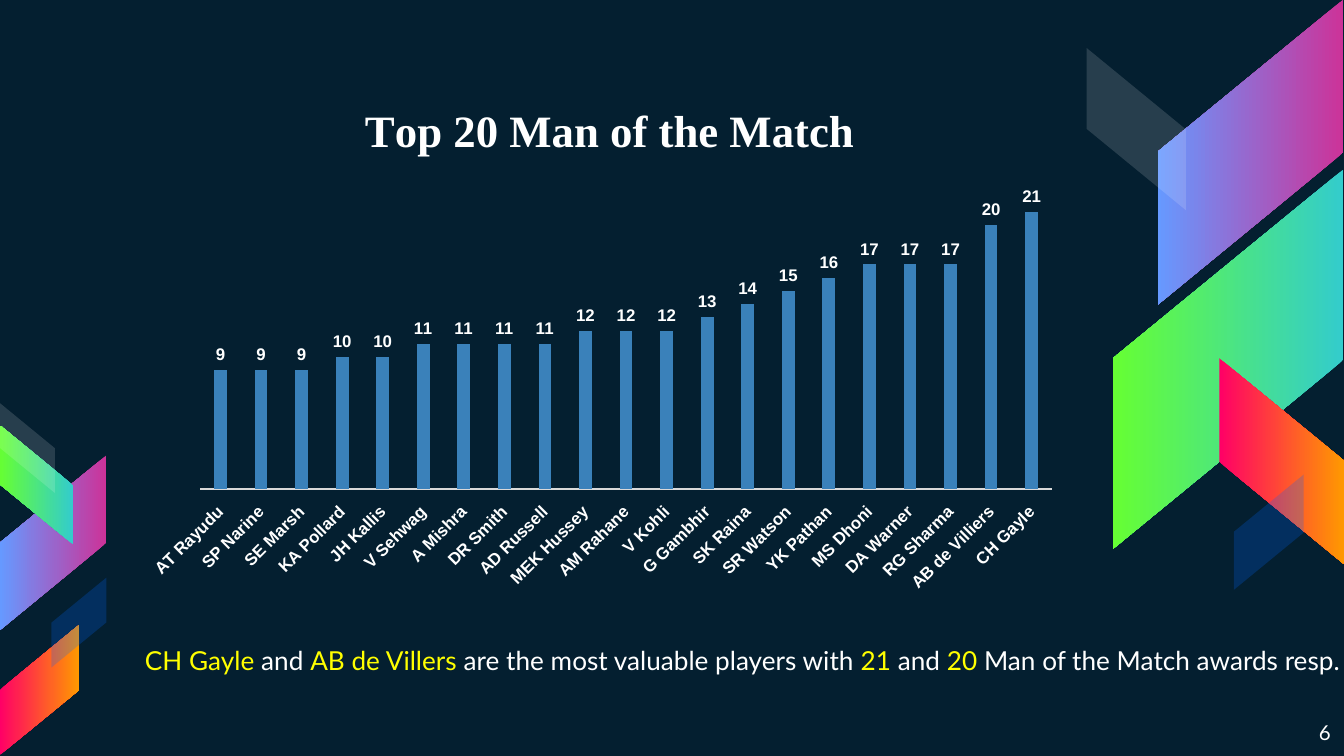
from dataclasses import dataclass

from lxml.etree import SubElement
from pptx import Presentation
from pptx.chart.data import CategoryChartData
from pptx.dml.color import RGBColor
from pptx.enum.chart import XL_CHART_TYPE, XL_LABEL_POSITION, XL_TICK_LABEL_POSITION, XL_TICK_MARK
from pptx.enum.shapes import MSO_SHAPE
from pptx.enum.text import MSO_ANCHOR, MSO_AUTO_SIZE, PP_ALIGN
from pptx.oxml import parse_xml
from pptx.oxml.ns import nsdecls, qn
from pptx.util import Cm, Pt


@dataclass(frozen=True)
class Theme:
    """Colours, fonts and type sizes of the slide."""
    background: str = "041F30"
    text: str = "FFFFFF"
    highlight: str = "FFFF00"
    bar: str = "3A81BA"
    axis: str = "D9D9D9"
    violet: tuple = ("CC3399", "6699FF")
    green: tuple = ("33CCCC", "66FF33")
    fire: tuple = ("FF0066", "FF9900")
    mist: tuple = ("FFFFFF", 14)
    navy: tuple = ("0066FF", 23)
    body_font: str = "Lato"
    chart_font: str = "Arial"
    heading_font: str = "Times New Roman"
    heading_size: int = 24
    body_size: int = 14
    number_size: int = 11
    label_size: int = 9


THEME = Theme()

# left, top, width, height (cm), rotation, mirrored, fill
RIBBONS = [
    (20.75, 1.12, 5.77, 3.51, 90, True, THEME.violet),
    (19.63, 4.62, 7.16, 4.34, 90, True, THEME.green),
    (22.28, 7.54, 3.89, 2.36, 270, False, THEME.fire),
    (19.94, 1.5, 3.07, 1.88, 270, False, THEME.mist),
    (22.89, 9.4, 2.18, 1.32, 270, True, THEME.navy),
    (-0.64, 9.25, 3.3, 2.01, 90, True, THEME.violet),
    (-0.43, 8.48, 2.24, 1.37, 90, False, THEME.green),
    (-0.48, 12.29, 2.46, 1.5, 270, True, THEME.fire),
    (-0.33, 7.95, 1.7, 1.04, 270, False, THEME.mist),
    (0.64, 11.25, 1.7, 1.04, 270, True, THEME.navy),
]

AWARDS = {
    "AT Rayudu": 9, "SP Narine": 9, "SE Marsh": 9, "KA Pollard": 10,
    "JH Kallis": 10, "V Sehwag": 11, "A Mishra": 11, "DR Smith": 11,
    "AD Russell": 11, "MEK Hussey": 12, "AM Rahane": 12, "V Kohli": 12,
    "G Gambhir": 13, "SK Raina": 14, "SR Watson": 15, "YK Pathan": 16,
    "MS Dhoni": 17, "DA Warner": 17, "RG Sharma": 17, "AB de Villiers": 20,
    "CH Gayle": 21,
}

# Every other piece is highlighted, starting with the first
TAKEAWAY = ["CH Gayle", " and ", "AB de Villers",
            " are the most valuable players with ", "21", " and ", "20",
            " Man of the Match awards resp."]


def rgb(value):
    """Return a colour from its hex value."""
    return RGBColor.from_string(value)


def style_font(font, name, size, color=THEME.text, bold=False):
    """Set face, size, colour and weight of a font."""
    font.name, font.size, font.bold = name, Pt(size), bold
    font.color.rgb = rgb(color)


def set_frame(tf, anchor):
    """Give a text frame its margins, wrapping and anchor."""
    tf.auto_size = MSO_AUTO_SIZE.NONE
    tf.word_wrap = True
    tf.vertical_anchor = anchor
    tf.margin_left = tf.margin_right = tf.margin_top = tf.margin_bottom = Cm(0.25)


def add_ribbon(slide, left, top, width, height, rotation, mirrored, fill):
    """Add a slanted ribbon with a gradient or a see-through fill."""
    sp = slide.shapes.add_shape(MSO_SHAPE.PARALLELOGRAM,
                                Cm(left), Cm(top), Cm(width), Cm(height))
    sp.adjustments[0] = 0.82
    sp.rotation = rotation
    sp.shadow.inherit = False
    sp.line.fill.background()
    if mirrored:
        sp._element.spPr.find(qn("a:xfrm")).set("flipH", "1")
    color, second = fill
    if isinstance(second, str):
        sp.fill.gradient()
        sp.fill.gradient_angle = 270
        for stop, value in zip(sp.fill.gradient_stops, fill):
            stop.color.rgb = rgb(value)
    else:
        sp.fill.solid()
        sp.fill.fore_color.rgb = rgb(color)
        clr = sp._element.spPr.find(qn("a:solidFill"))[0]
        SubElement(clr, qn("a:alpha")).set("val", str(second * 1000))


def set_layout(element, **parts):
    """Place a chart part by fractions of the chart area."""
    for old in element.findall(qn("c:layout")):
        element.remove(old)
    values = "".join(f'<c:{k} val="{v}"/>' for k, v in parts.items())
    layout = parse_xml(f'<c:layout {nsdecls("c")}><c:manualLayout>{values}'
                       '</c:manualLayout></c:layout>')
    text = element.find(qn("c:tx"))
    if text is None:
        element.insert(0, layout)
    else:
        text.addnext(layout)


def add_awards_chart(slide):
    """Add the column chart of awards per player."""
    data = CategoryChartData()
    data.categories = list(AWARDS)
    data.add_series("Series 1", list(AWARDS.values()))
    chart = slide.shapes.add_chart(XL_CHART_TYPE.COLUMN_CLUSTERED, Cm(2.49), Cm(1.27),
                                   Cm(17.73), Cm(10.01), data).chart
    style_font(chart.font, THEME.chart_font, THEME.label_size)
    chart.has_legend = False

    chart.has_title = True
    p = chart.chart_title.text_frame.paragraphs[0]
    p.text = "Top 20 Man of the Match"
    style_font(p.font, THEME.heading_font, THEME.heading_size, bold=True)
    set_layout(chart.chart_title._element, xMode="edge", yMode="edge", x=0.24, y=0.05)
    chart.chart_title.include_in_layout = False
    set_layout(chart._chartSpace.chart.plotArea, layoutTarget="inner",
               xMode="edge", yMode="edge", x=0.073, y=0.173, w=0.908, h=0.624)

    values = chart.value_axis
    values.visible = values.has_major_gridlines = False
    values.minimum_scale, values.maximum_scale = 0, 25

    players = chart.category_axis
    players.major_tick_mark = players.minor_tick_mark = XL_TICK_MARK.NONE
    players.tick_label_position = XL_TICK_LABEL_POSITION.LOW
    players.format.line.color.rgb = rgb(THEME.axis)
    players.format.line.width = Pt(0.75)
    style_font(players.tick_labels.font, THEME.chart_font, THEME.label_size, bold=True)
    body = players._element.find(qn("c:txPr")).find(qn("a:bodyPr"))
    body.set("rot", "-2700000")
    body.set("vert", "horz")

    plot = chart.plots[0]
    plot.gap_width, plot.overlap, plot.vary_by_categories = 219, -27, False
    fill = plot.series[0].format.fill
    fill.solid()
    fill.fore_color.rgb = rgb(THEME.bar)
    plot.has_data_labels = True
    labels = plot.data_labels
    labels.show_value = True
    labels.position = XL_LABEL_POSITION.OUTSIDE_END
    style_font(labels.font, THEME.chart_font, THEME.label_size, bold=True)


def fill_takeaway(title):
    """Write the takeaway sentence into the title placeholder."""
    title.left, title.top, title.width, title.height = Cm(2.49), Cm(11.25), Cm(23.85), Cm(1.78)
    set_frame(title.text_frame, MSO_ANCHOR.BOTTOM)
    p = title.text_frame.paragraphs[0]
    p.alignment = PP_ALIGN.LEFT
    style_font(p.font, THEME.body_font, THEME.body_size)
    for i, piece in enumerate(TAKEAWAY):
        r = p.add_run()
        r.text = piece
        r.font.color.rgb = rgb(THEME.text if i % 2 else THEME.highlight)


def add_page_number(slide, number):
    """Add the page number in the bottom right corner."""
    tf = slide.shapes.add_textbox(Cm(23.77), Cm(13.36), Cm(1.63), Cm(0.91)).text_frame
    set_frame(tf, MSO_ANCHOR.TOP)
    p = tf.paragraphs[0]
    p.text = str(number)
    p.alignment = PP_ALIGN.RIGHT
    style_font(p.font, THEME.body_font, THEME.number_size)


def main():
    """Build the slide and save it."""
    prs = Presentation()
    prs.slide_width, prs.slide_height = Cm(25.4), Cm(14.29)
    slide = prs.slides.add_slide(prs.slide_layouts[5])
    slide.background.fill.solid()
    slide.background.fill.fore_color.rgb = rgb(THEME.background)
    for ribbon in RIBBONS:
        add_ribbon(slide, *ribbon)
    fill_takeaway(slide.shapes.title)
    add_page_number(slide, 6)
    add_awards_chart(slide)
    prs.save("out.pptx")


main()
